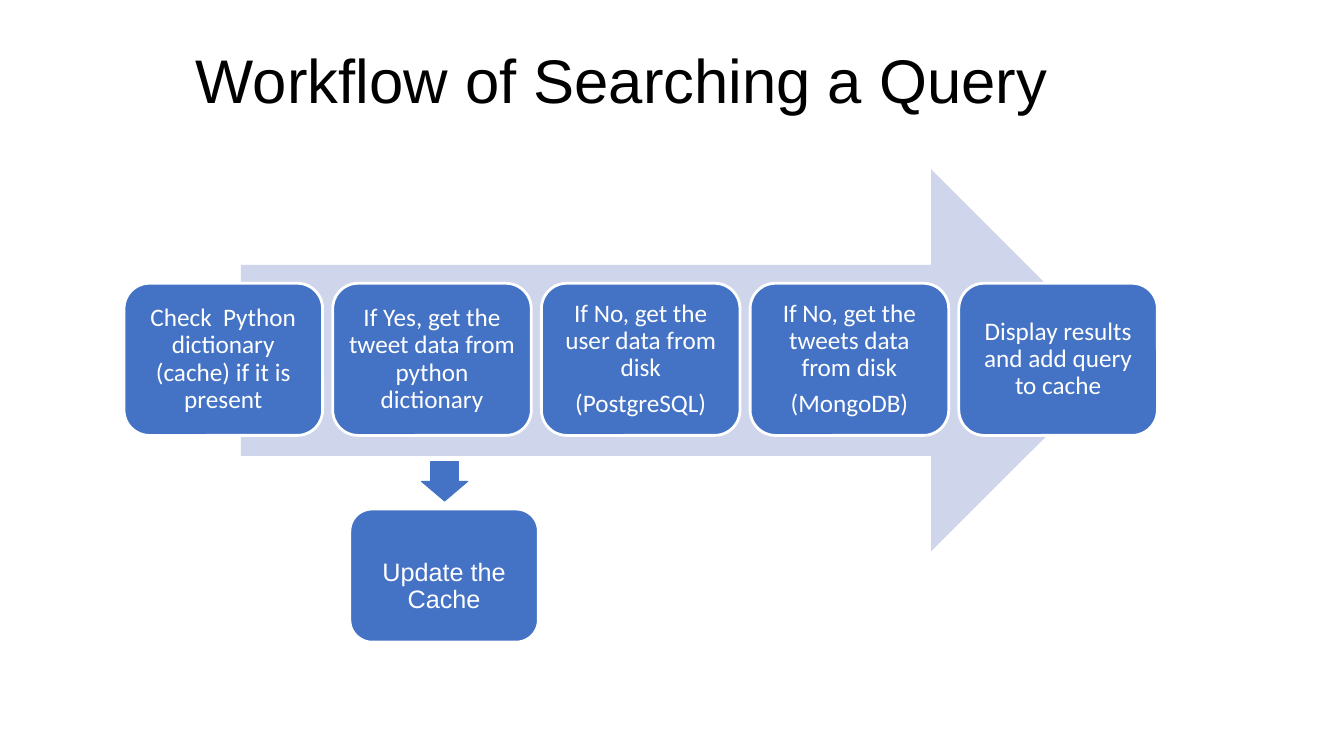
"""Build the slide showing the workflow of searching a query."""
from dataclasses import dataclass

from pptx import Presentation
from pptx.dml.color import RGBColor
from pptx.enum.shapes import MSO_SHAPE
from pptx.enum.text import MSO_ANCHOR, MSO_AUTO_SIZE, PP_ALIGN
from pptx.util import Inches, Pt


@dataclass(frozen=True)
class Theme:
    blue: RGBColor = RGBColor(0x44, 0x72, 0xC4)
    pale: RGBColor = RGBColor(0xCF, 0xD5, 0xEA)
    white: RGBColor = RGBColor(0xFF, 0xFF, 0xFF)
    black: RGBColor = RGBColor(0, 0, 0)
    title_font: str = "Arial"
    step_font: str = "Calibri"
    title_size: int = 44
    step_size: int = 18


STEPS = [
    ["Check  Python dictionary (cache) if it is present"],
    ["If Yes, get the tweet data from python dictionary"],
    ["If No, get the user data from disk", "(PostgreSQL)"],
    ["If No, get the tweets data from disk", "(MongoDB)"],
    ["Display results and add query to cache"],
]
STEP_LEFT, STEP_PITCH = 1.23, 2.07


class SlideBuilder:
    def __init__(self, presentation, theme):
        self.theme = theme
        self.slide = presentation.slides.add_slide(presentation.slide_layouts[5])

    def fill_text(self, shape, lines, font, size, color, insets=(0.1, 0.05, 0.1, 0.05)):
        frame = shape.text_frame
        left, top, right, bottom = map(Inches, insets)
        frame_format = {
            "text": "\n".join(lines), "word_wrap": True,
            "auto_size": MSO_AUTO_SIZE.NONE, "vertical_anchor": MSO_ANCHOR.MIDDLE,
            "margin_left": left, "margin_top": top,
            "margin_right": right, "margin_bottom": bottom,
        }
        for name, value in frame_format.items():
            setattr(frame, name, value)
        for paragraph in frame.paragraphs:
            paragraph_format = {
                "alignment": PP_ALIGN.CENTER, "line_spacing": 0.9,
                "space_before": Pt(0), "space_after": Pt(size * 0.35),
            }
            for name, value in paragraph_format.items():
                setattr(paragraph, name, value)
            for name, value in {"name": font, "size": Pt(size)}.items():
                setattr(paragraph.font, name, value)
            paragraph.font.color.rgb = color

    def title(self, text, box):
        shape = self.slide.shapes.title
        for name, value in zip(("left", "top", "width", "height"), box):
            setattr(shape, name, Inches(value))
        theme = self.theme
        self.fill_text(shape, [text], theme.title_font, theme.title_size, theme.black)

    def shape(self, kind, box, fill, line=None, line_width=0.75):
        shape = self.slide.shapes.add_shape(kind, *map(Inches, box))
        shape.shadow.inherit = False
        shape.fill.solid()
        shape.fill.fore_color.rgb = fill
        if line is None:
            shape.line.fill.background()
        else:
            shape.line.color.rgb = line
            shape.line.width = Pt(line_width)
        return shape

    def arrow(self, kind, box, fill, line=None, adjustments=(0.5, 0.5)):
        arrow = self.shape(kind, box, fill, line)
        for index, value in enumerate(adjustments):
            arrow.adjustments[index] = value

    def step(self, lines, box, font, insets):
        theme = self.theme
        shape = self.shape(MSO_SHAPE.ROUNDED_RECTANGLE, box, theme.blue, theme.white, 2)
        self.fill_text(shape, lines, font, theme.step_size, theme.white, insets)


def main():
    presentation = Presentation()
    presentation.slide_width = Inches(13.33)
    presentation.slide_height = Inches(7.5)
    theme = Theme()
    builder = SlideBuilder(presentation, theme)
    builder.title("Workflow of Searching a Query", (0.14, 0.38, 12.06, 0.89))
    builder.arrow(MSO_SHAPE.RIGHT_ARROW, (2.39, 1.68, 8.74, 3.79), theme.pale)
    for index, lines in enumerate(STEPS):
        box = (STEP_LEFT + index * STEP_PITCH, 2.81, 1.97, 1.51)
        builder.step(lines, box, theme.step_font, (0.07, 0.07, 0.07, 0.07))
    builder.arrow(MSO_SHAPE.DOWN_ARROW, (4.18, 4.58, 0.46, 0.39),
                  theme.blue, theme.blue, (0.6, 0.5))
    builder.step(["Update the Cache"], (3.47, 5.05, 1.87, 1.32),
                 theme.title_font, (0.1, 0.27, 0.1, 0.05))
    presentation.save("out.pptx")


if __name__ == "__main__":
    main()
